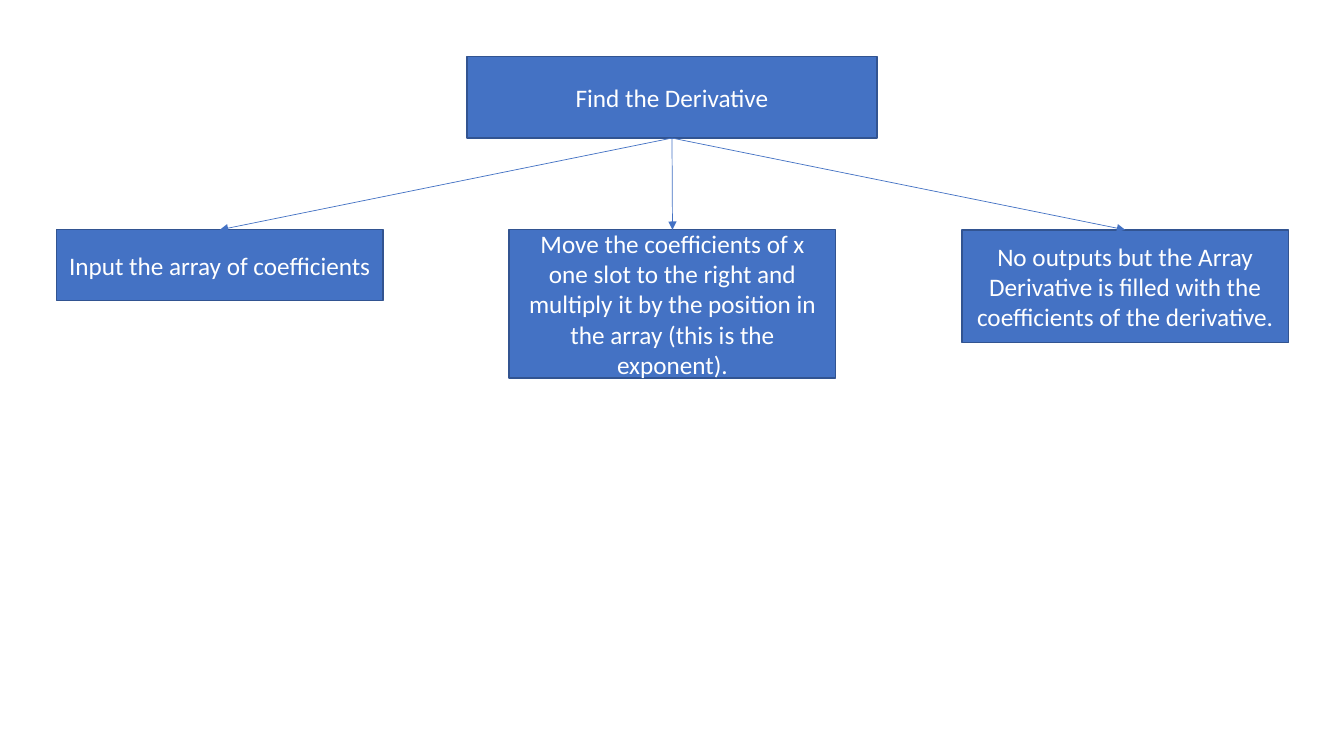
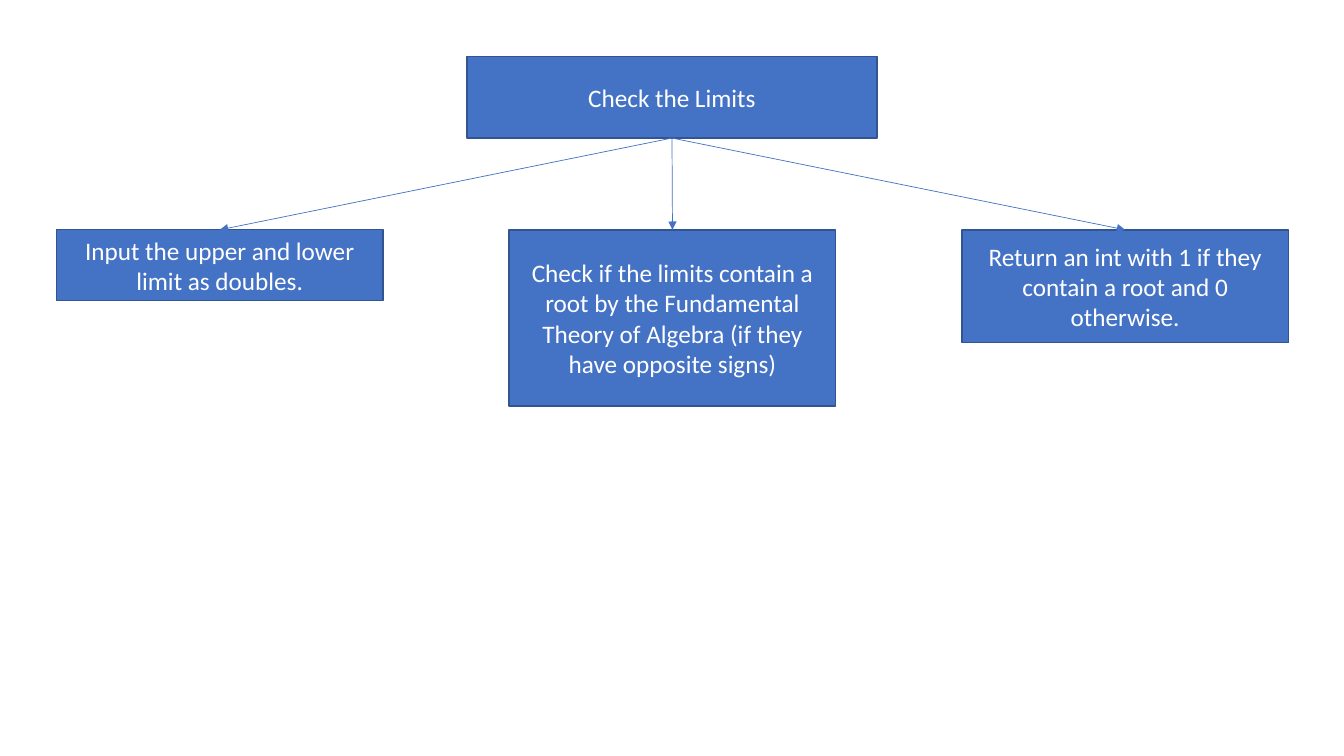
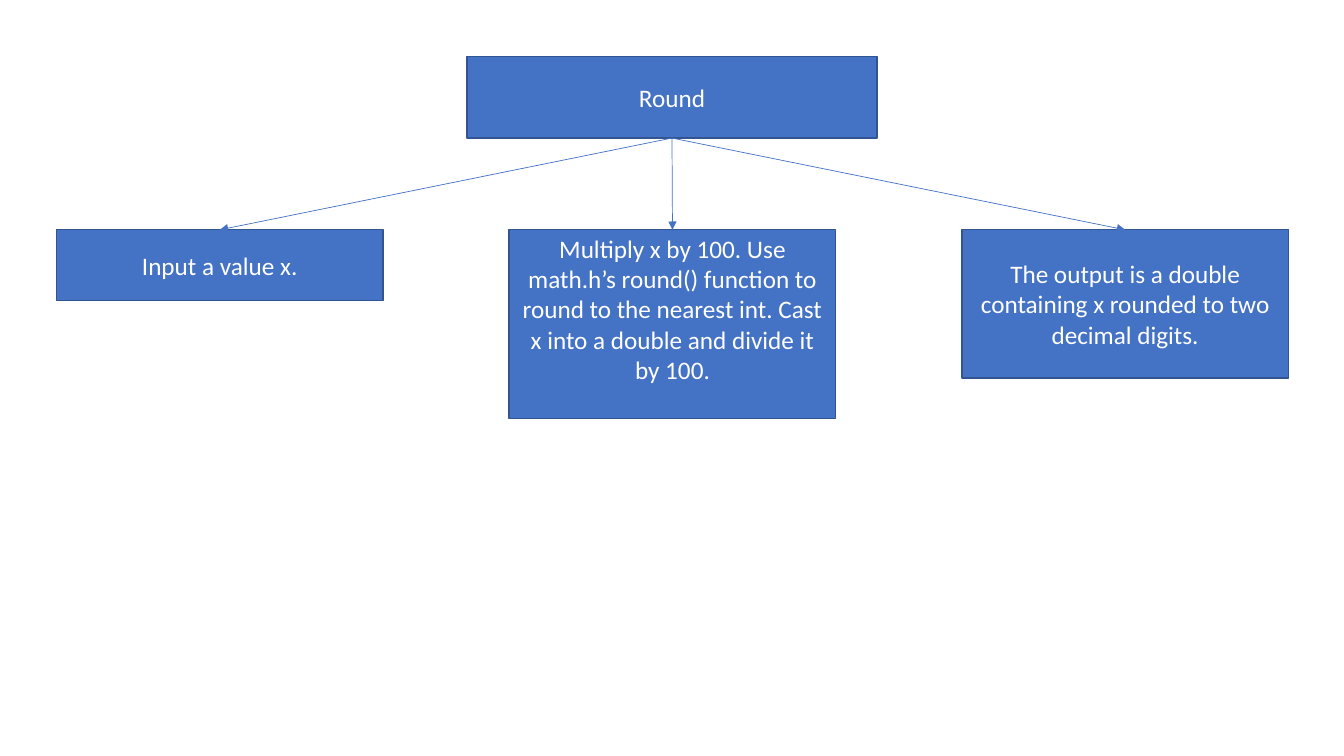
"""Builds three slides that break a function into input, process and output."""
import pptx
import pptx.dml.color
import pptx.enum.shapes
import pptx.enum.text
import pptx.oxml
import pptx.oxml.ns
import pptx.util
from pptx.util import Inches

BLUE = pptx.dml.color.RGBColor(0x44, 0x72, 0xC4)
DARK_BLUE = pptx.dml.color.RGBColor(0x32, 0x54, 0x91)
WHITE = pptx.dml.color.RGBColor(0xFF, 0xFF, 0xFF)

TITLE_ONLY_LAYOUT = 5
TOP_SITE, BOTTOM_SITE = 0, 2
STEP_LEFT, STEP_TOP, STEP_WIDTH, STEP_PITCH = 0.56, 2.28, 3.24, 4.49

# Each chart: title, then (text, box height, bottom margin) for every step.
CHARTS = [
    ("Find the Derivative", [
        ("Input the array of coefficients", 0.7, 0.05),
        ("Move the coefficients of x one slot to the right and multiply it by "
         "the position in the array (this is the exponent).", 1.47, 0.05),
        ("No outputs but the Array Derivative is filled with the "
         "coefficients of the derivative.", 1.12, 0.05),
    ]),
    ("Check the Limits", [
        ("Input the upper and lower limit as doubles.", 0.7, 0.05),
        ("Check if the limits contain a root by the Fundamental Theory of "
         "Algebra (if they have opposite signs)", 1.75, 0.05),
        ("Return an int with 1 if they contain a root and 0 otherwise.",
         1.12, 0.05),
    ]),
    ("Round", [
        ("Input a value x.", 0.7, 0.05),
        ("Multiply x by 100. Use math.h\u2019s round() function to round to "
         "the nearest int. Cast x into a double and divide it by 100.",
         1.87, 0.35),
        ("The output is a double containing x rounded to two decimal digits.",
         1.47, 0.05),
    ]),
]


class ChartBuilder:
    """Holds the shared style and the slide being drawn."""

    font_name = "Calibri"
    font_size = pptx.util.Pt(18)

    def __init__(self, presentation):
        """Start with no current slide."""
        self.presentation = presentation
        self.slide = None

    def add_slide(self):
        """Add a title-only slide and make it current."""
        layout = self.presentation.slide_layouts[TITLE_ONLY_LAYOUT]
        self.slide = self.presentation.slides.add_slide(layout)

    def style_box(self, shape, text, bottom_margin=0.05):
        """Give a shape the blue box style and its centred text."""
        shape.fill.solid()
        shape.fill.fore_color.rgb = BLUE
        shape.line.color.rgb = DARK_BLUE
        shape.line.width = pptx.util.Pt(1)
        frame = shape.text_frame
        frame.text = text
        frame.word_wrap = True
        frame.auto_size = pptx.enum.text.MSO_AUTO_SIZE.NONE
        frame.vertical_anchor = pptx.enum.text.MSO_ANCHOR.MIDDLE
        frame.margin_bottom = Inches(bottom_margin)
        paragraph = frame.paragraphs[0]
        paragraph.alignment = pptx.enum.text.PP_ALIGN.CENTER
        paragraph.font.name = self.font_name
        paragraph.font.size = self.font_size
        paragraph.font.color.rgb = WHITE

    def add_title(self, text):
        """Turn the title placeholder into the top box."""
        title = self.slide.shapes.title
        title.left, title.top = Inches(4.63), Inches(0.56)
        title.width, title.height = Inches(4.07), Inches(0.81)
        self.style_box(title, text)
        return title

    def add_step(self, column, text, height, bottom_margin):
        """Add a step box in the given column."""
        step = self.slide.shapes.add_shape(
            pptx.enum.shapes.MSO_SHAPE.RECTANGLE,
            Inches(STEP_LEFT + column * STEP_PITCH), Inches(STEP_TOP),
            Inches(STEP_WIDTH), Inches(height))
        step.shadow.inherit = False
        self.style_box(step, text, bottom_margin)
        return step

    def add_arrow(self, parent, child):
        """Join the bottom of the parent to the top of the child."""
        arrow = self.slide.shapes.add_connector(
            pptx.enum.shapes.MSO_CONNECTOR.STRAIGHT, 0, 0, 0, 0)
        arrow.begin_connect(parent, BOTTOM_SITE)
        arrow.end_connect(child, TOP_SITE)
        arrow.line.color.rgb = BLUE
        arrow.line.width = pptx.util.Pt(0.5)
        line = arrow.line._get_or_add_ln()
        line.append(pptx.oxml.parse_xml(
            f'<a:tailEnd {pptx.oxml.ns.nsdecls("a")} type="triangle"/>'))
        line.addnext(pptx.oxml.parse_xml(
            f'<a:effectLst {pptx.oxml.ns.nsdecls("a")}/>'))


def main():
    """Build and save the presentation."""
    presentation = pptx.Presentation()
    presentation.slide_width = Inches(13.33)
    presentation.slide_height = Inches(7.5)
    builder = ChartBuilder(presentation)
    for title_text, steps in CHARTS:
        builder.add_slide()
        title = builder.add_title(title_text)
        for column, (text, height, bottom_margin) in enumerate(steps):
            step = builder.add_step(column, text, height, bottom_margin)
            builder.add_arrow(title, step)
    presentation.save("out.pptx")


main()
